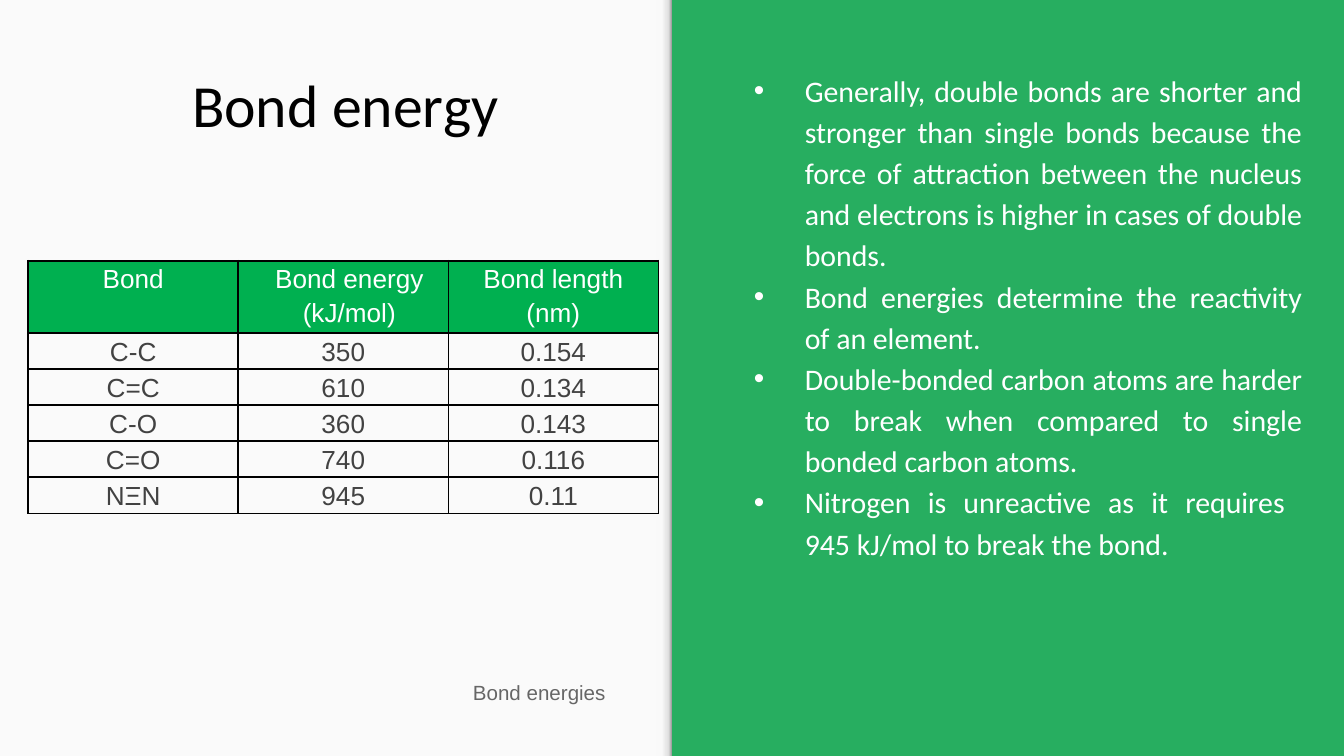
import pptx
import pptx.util
import pptx.dml.color
import pptx.enum.shapes
import pptx.enum.text
import pptx.oxml
import pptx.oxml.ns

Inches = pptx.util.Inches
Pt = pptx.util.Pt
RGBColor = pptx.dml.color.RGBColor
Align = pptx.enum.text.PP_ALIGN
Anchor = pptx.enum.text.MSO_ANCHOR
NAMESPACE = pptx.oxml.ns.nsdecls("a")

GREEN = RGBColor(0x27, 0xAE, 0x60)
HEADER_GREEN = RGBColor(0x00, 0xB0, 0x50)
PAPER = RGBColor(0xFA, 0xFA, 0xFA)
BLACK = RGBColor(0, 0, 0)
WHITE = RGBColor(0xFF, 0xFF, 0xFF)
GREY = RGBColor(0x66, 0x66, 0x66)
DARK = RGBColor(0x42, 0x42, 0x42)
EDGE_STOPS = [
    (0, RGBColor(0xF9, 0xF9, 0xF9)),
    (36, RGBColor(0xF9, 0xF9, 0xF9)),
    (80, RGBColor(0xDE, 0xDE, 0xDE)),
    (100, RGBColor(0x99, 0x99, 0x99)),
]

TITLE = "Bond energy"
CAPTION = "Bond energies"
POINTS = [
    "Generally, double bonds are shorter and stronger than single bonds because the force of "
    "attraction between the nucleus and electrons is higher in cases of double bonds.",
    "Bond energies determine the reactivity of an element.",
    "Double-bonded carbon atoms are harder to break when compared to single bonded carbon atoms.",
    "Nitrogen is unreactive as it requires \n945 kJ/mol to break the bond. ",
]
BONDS = [
    ("Bond", "Bond energy (kJ/mol)", "Bond length (nm)"),
    ("C-C", "350", "0.154"),
    ("C=C", "610", "0.134"),
    ("C-O", "360", "0.143"),
    ("C=O", "740", "0.116"),
    ("NΞN", "945", "0.11"),
]

TITLE_FONT = {"name": "Calibri", "size": Pt(32), "color": BLACK}
POINT_FONT = {"name": "Calibri", "size": Pt(16), "color": WHITE}
CAPTION_FONT = {"name": "Arial", "size": Pt(11), "color": GREY}
HEADER_FONT = {"name": "Arial", "size": Pt(14), "color": WHITE}
VALUE_FONT = {**HEADER_FONT, "color": DARK}

WIDTH = 10
HEIGHT = WIDTH * 9 / 16
EDGE_WIDTH = 0.12
TABLE_PLACE = (0.21, 1.94, 4.69, 1.74)


def set_attributes(target, values):
    for name, value in values.items():
        setattr(target, name, value)


def write(para, text, font, **layout):
    para.text = text
    set_attributes(para, layout)
    for span in para.runs:
        for name, value in font.items():
            if name == "color":
                span.font.color.rgb = value
            else:
                setattr(span.font, name, value)


def add_box(page, place, anchor=Anchor.TOP):
    frame = page.shapes.add_textbox(*map(Inches, place)).text_frame
    margins = {f"margin_{side}": Inches(0.1) for side in ("left", "top", "right", "bottom")}
    set_attributes(frame, {"word_wrap": True, "vertical_anchor": anchor, **margins})
    return frame


def add_panel(page, place):
    panel = page.shapes.add_shape(
        pptx.enum.shapes.MSO_SHAPE.RECTANGLE, *map(Inches, place))
    panel.shadow.inherit = False
    panel.line.fill.background()
    return panel


def add_edge(page):
    edge = add_panel(page, (WIDTH / 2 - EDGE_WIDTH, 0, EDGE_WIDTH, HEIGHT))
    edge.fill.gradient()
    edge.fill.gradient_angle = 0
    stops = edge.element.spPr.find(".//" + pptx.oxml.ns.qn("a:gsLst"))
    for stop in list(stops):
        stops.remove(stop)
    for position, color in EDGE_STOPS:
        stops.append(pptx.oxml.parse_xml(
            f'<a:gs {NAMESPACE} pos="{position * 1000}"><a:srgbClr val="{color}"/></a:gs>'))


def add_bullet(para):
    properties = para._p.get_or_add_pPr()
    properties.set("marL", str(Inches(0.5)))
    properties.set("indent", str(Inches(-0.38)))
    for element in (
        f'<a:buClr {NAMESPACE}><a:srgbClr val="{WHITE}"/></a:buClr>',
        f'<a:buFont {NAMESPACE} typeface="Arial"/>',
        f'<a:buChar {NAMESPACE} char="•"/>',
    ):
        properties.append(pptx.oxml.parse_xml(element))


def add_borders(cell):
    properties = cell._tc.get_or_add_tcPr()
    for index, side in enumerate(("lnL", "lnR", "lnT", "lnB")):
        properties.insert(index, pptx.oxml.parse_xml(
            f'<a:{side} {NAMESPACE} w="{Pt(1)}"><a:solidFill><a:srgbClr val="{BLACK}"/>'
            f'</a:solidFill></a:{side}>'))


def add_bond_table(page):
    place = [Inches(length) for length in TABLE_PLACE]
    holder = page.shapes.add_table(len(BONDS), len(BONDS[0]), *place)
    table = holder.table
    table.horz_banding = False
    for r, values in enumerate(BONDS):
        table.rows[r].height = 0
        for c, value in enumerate(values):
            cell = table.cell(r, c)
            set_attributes(cell, {"margin_left": Inches(0.07), "margin_right": Inches(0.07),
                                  "margin_top": 0, "margin_bottom": 0})
            if r == 0:
                cell.fill.solid()
                cell.fill.fore_color.rgb = HEADER_GREEN
            else:
                cell.fill.background()
            add_borders(cell)
            para = cell.text_frame.paragraphs[0]
            write(para, value, HEADER_FONT if r == 0 else VALUE_FONT,
                  alignment=Align.CENTER, line_spacing=1.15)
            if (r, c) == (0, 1):
                para._p.get_or_add_pPr().set("marL", str(Inches(0.09)))
    holder.height = place[3]


def main():
    deck = pptx.Presentation()
    set_attributes(deck, {"slide_width": Inches(WIDTH), "slide_height": Inches(HEIGHT)})
    page = deck.slides.add_slide(deck.slide_layouts[6])
    page.background.fill.solid()
    page.background.fill.fore_color.rgb = GREEN

    panel = add_panel(page, (0, 0, WIDTH / 2, HEIGHT))
    panel.fill.solid()
    panel.fill.fore_color.rgb = PAPER
    add_edge(page)

    title = add_box(page, (0.73, 0.22, 3.68, 1.1), Anchor.MIDDLE)
    write(title.paragraphs[0], TITLE, TITLE_FONT, alignment=Align.CENTER)

    body = add_box(page, (5.39, 0.4, 4.4, 4.04))
    for index, point in enumerate(POINTS):
        para = body.add_paragraph() if index else body.paragraphs[0]
        add_bullet(para)
        write(para, point, POINT_FONT, alignment=Align.JUSTIFY, line_spacing=1.15)

    caption = add_box(page, (3.42, 4.97, 1.32, 0.3))
    write(caption.paragraphs[0], CAPTION, CAPTION_FONT)

    add_bond_table(page)
    deck.save("out.pptx")


if __name__ == "__main__":
    main()
